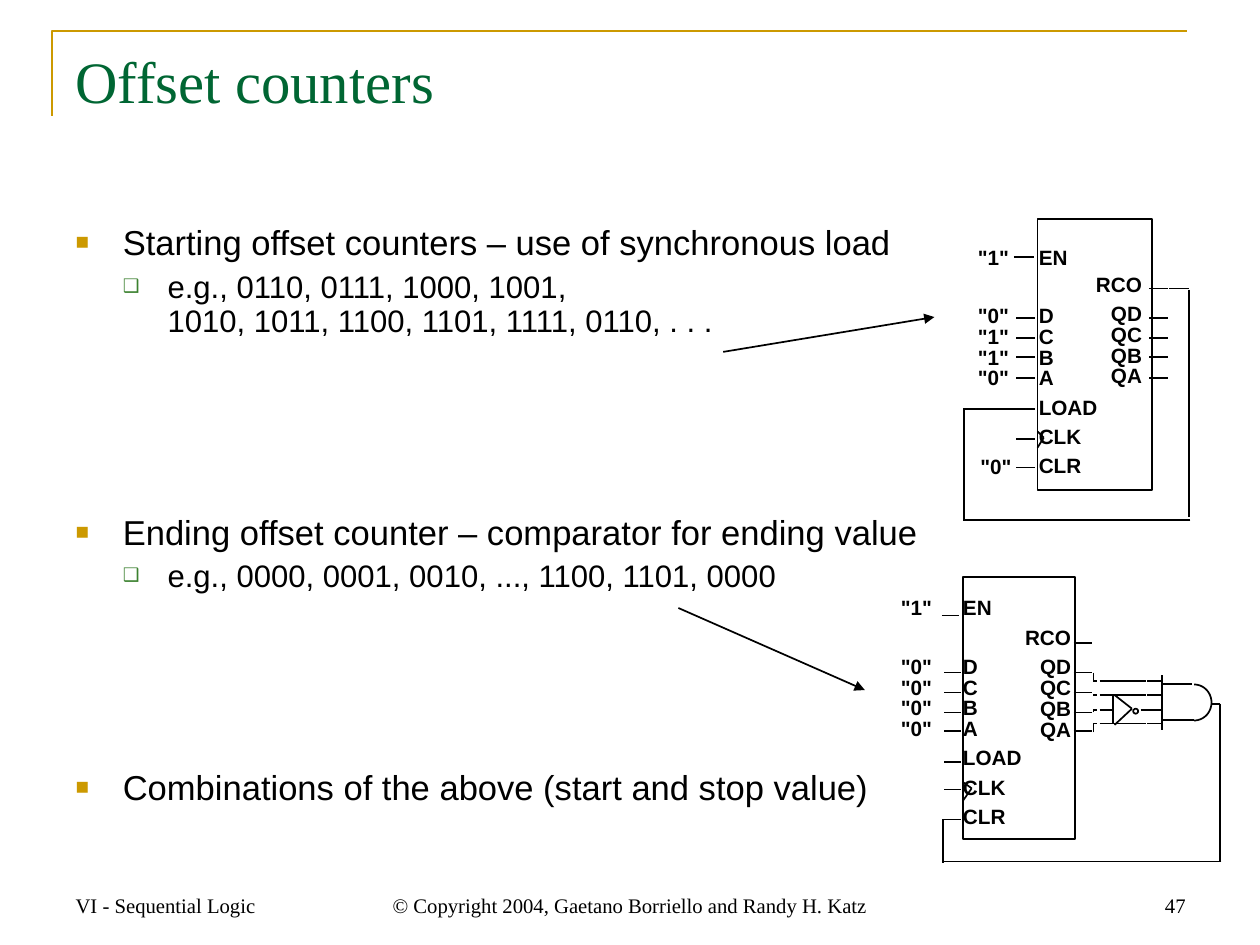
from math import cos, sin, radians
from lxml.etree import SubElement as Sub
from pptx import Presentation
from pptx.dml.color import RGBColor
from pptx.enum.shapes import MSO_CONNECTOR as Conn, MSO_SHAPE as Form
from pptx.enum.text import MSO_ANCHOR as Anchor, PP_ALIGN as Align
from pptx.oxml.ns import qn
from pptx.util import Inches, Pt

COLS, ROWS = 1014, 760
SANS, SERIF = "Arial", "Times New Roman"
BLACK, GREEN, GOLD, LEAF = "000000", "006633", "CC9900", "3B812F"


def paint(code):
    return RGBColor.from_string(code)


class Board:
    def __init__(self, deck):
        self.slide = deck.slides.add_slide(deck.slide_layouts[6])
        self.items = self.slide.shapes
        self.cell_w = deck.slide_width / COLS
        self.cell_h = deck.slide_height / ROWS

    def spot(self, col, row):
        return round(col * self.cell_w), round(row * self.cell_h)

    def edge(self, item, color=BLACK, width=1):
        item.line.color.rgb = paint(color)
        item.line.width = Pt(width)

    def line(self, x1, y1, x2, y2, arrow=False):
        wire = self.items.add_connector(Conn.STRAIGHT, *self.spot(x1, y1), *self.spot(x2, y2))
        self.edge(wire)
        if arrow:
            Sub(wire.line._get_or_add_ln(), qn("a:headEnd"), type="triangle")
        Sub(wire._element.spPr, qn("a:effectLst"))

    def shape(self, form, x, y, w, h):
        item = self.items.add_shape(form, *self.spot(x, y), *self.spot(w, h))
        item.shadow.inherit = False
        item.fill.background()
        self.edge(item)

    def curve(self, points, color=BLACK, width=1):
        start, *rest = [self.spot(*p) for p in points]
        pen = self.items.build_freeform(*start)
        pen.add_line_segments(rest, close=False)
        item = pen.convert_to_shape()
        item.shadow.inherit = False
        item.fill.background()
        self.edge(item, color, width)

    def box(self, x, y, w, h, pad=(0.1, 0.05), anchor=Anchor.TOP):
        frame = self.items.add_textbox(*self.spot(x, y), *self.spot(w, h)).text_frame
        frame.word_wrap = True
        frame.vertical_anchor = anchor
        frame.margin_left = frame.margin_right = Inches(pad[0])
        frame.margin_top = frame.margin_bottom = Inches(pad[1])
        return frame

    def style(self, para, text, size, face, color=BLACK, bold=False, align=Align.LEFT):
        para.text = text
        para.alignment = align
        para.font.size = Pt(size)
        para.font.name = face
        para.font.bold = bold
        para.font.color.rgb = paint(color)

    def label(self, x, y, w, h, text, size, color=BLACK, align=Align.LEFT, anchor=Anchor.TOP):
        frame = self.box(x, y, w, h, anchor=anchor)
        self.style(frame.paragraphs[0], text, size, SERIF, color, align=align)

    def pins(self, x, y, w, h, rows, align=Align.LEFT):
        frame = self.box(x, y, w, h, pad=(0.02, 0.03))
        for i, (text, gap) in enumerate(rows):
            para = frame.add_paragraph() if i else frame.paragraphs[0]
            para.line_spacing = Pt(12)
            para.space_after = Pt(gap)
            self.style(para, text, 12, SANS, bold=True, align=align)

    def bullets(self, x, y, w, h, rows):
        kinds = ((20, 22, 102, 0.38, 0.38, "■", GOLD, 65),
                 (18, 19.6, 4.5, 0.74, 0.36, "❑", LEAF, 60))
        frame = self.box(x, y, w, h)
        for i, (level, text) in enumerate(rows):
            size, pitch, gap, left, hang, mark, color, share = kinds[level]
            para = frame.add_paragraph() if i else frame.paragraphs[0]
            para.level = level
            para.line_spacing = Pt(pitch)
            para.space_before = Pt(gap if i else 0)
            props = para._p.get_or_add_pPr()
            props.set("marL", str(Inches(left)))
            props.set("indent", str(-Inches(hang)))
            Sub(Sub(props, qn("a:buClr")), qn("a:srgbClr"), val=color)
            Sub(props, qn("a:buSzPct"), val=str(share * 1000))
            Sub(props, qn("a:buFont"), typeface=SANS)
            Sub(props, qn("a:buChar"), char=mark)
            self.style(para, text, size, SANS)

    def chip(self, x, y, w, h, enable, carry, bits, controls, left, right, clock):
        self.shape(Form.RECTANGLE, x, y, w, h)
        start, end = left
        self.line(start - 2, enable, end - 1, enable)
        for row in bits + controls:
            self.line(start, row, end, row)
        for row in [carry] + bits:
            self.line(right, row, right + 15, row)
        width, top, mid, low = clock
        self.line(x, top, x + width, mid)
        self.line(x, low, x + width, mid)


def main():
    deck = Presentation()
    deck.slide_width, deck.slide_height = Pt(730), Pt(547.5)
    board = Board(deck)
    board.curve([(42, 93), (42, 25), (955, 25)], GOLD, 1.5)
    board.label(51, 31, 912, 126, "Offset counters", 34, GREEN)
    board.bullets(51, 176, 912, 502, [
        (0, "Starting offset counters – use of synchronous load"),
        (1, "e.g., 0110, 0111, 1000, 1001,\v1010, 1011, 1100, 1101, 1111, 0110, . . ."),
        (0, "Ending offset counter – comparator for ending value"),
        (1, "e.g., 0000, 0001, 0010, ..., 1100, 1101, 0000"),
        (0, "Combinations of the above (start and stop value)")])

    inner = [("EN", 22), ("D\vC\vB\vA", 5), ("LOAD", 5), ("CLK", 5), ("CLR", 5)]
    outer = [("RCO", 5), ("QD\vQC\vQB\vQA", 5)]

    board.chip(835, 176, 92, 218, 207, 232, [256, 272, 287, 304], [329, 353, 376],
               (818, 833), 925, (5, 347, 352, 360))
    board.pins(834, 197, 108, 206, inner)
    board.pins(813, 219, 108, 111, outer, Align.RIGHT)
    board.pins(785, 197, 50, 158, [('"1"', 22), ('"0"\v"1"\v"1"\v"0"', 5)])
    board.pins(787, 365, 62, 40, [('"0"', 7)])

    board.chip(775, 464, 90, 211, 495, 517, [541, 557, 573, 588], [613, 635, 659],
               (760, 773), 864, (7, 629, 634, 644))
    board.pins(773, 479, 112, 206, inner)
    board.pins(752, 503, 112, 111, outer, Align.RIGHT)
    board.pins(723, 479, 51, 158, [('"1"', 22), ('"0"\v"0"\v"0"\v"0"', 5)])

    load = [(941, 232, 957, 232), (957, 233, 957, 416), (958, 418, 775, 418),
            (776, 419, 776, 328), (776, 329, 825, 329)]
    clear = [(975, 566, 982, 566), (982, 566, 982, 693), (983, 693, 758, 693),
             (759, 694, 759, 659)]
    stubs = [(880, 541, 880, 547), (880, 573, 880, 570), (880, 589, 880, 582)]
    buffer = [(897, 559, 911, 570), (897, 583, 911, 570), (896, 559, 896, 582)]
    gate = [(936, 550, 959, 550), (936, 579, 961, 579), (935, 543, 935, 587)]
    for ends in load + clear + stubs + buffer + gate:
        board.line(*ends)
    for row in (548, 559, 571, 582):
        board.line(880, row, 883, row)
        board.line(885, row, 896 if row == 571 else 922, row)
        board.line(918 if row == 571 else 923, row, 934, row)
    board.shape(Form.OVAL, 912, 570, 4, 4)
    board.curve([(961 + 14 * cos(radians(a)), 565 + 14.5 * sin(radians(a)))
                 for a in range(-90, 91, 6)])

    board.line(752, 255, 582, 283, arrow=True)
    board.line(696, 555, 546, 489, arrow=True)

    for x, w, text, align in (
            (51, 237, "VI - Sequential Logic", Align.LEFT),
            (296, 422, "© Copyright 2004, Gaetano Borriello and Randy H. Katz", Align.CENTER),
            (727, 237, "47", Align.RIGHT)):
        board.label(x, 692, w, 51, text, 12, align=align, anchor=Anchor.BOTTOM)
    deck.save("out.pptx")


if __name__ == "__main__":
    main()
